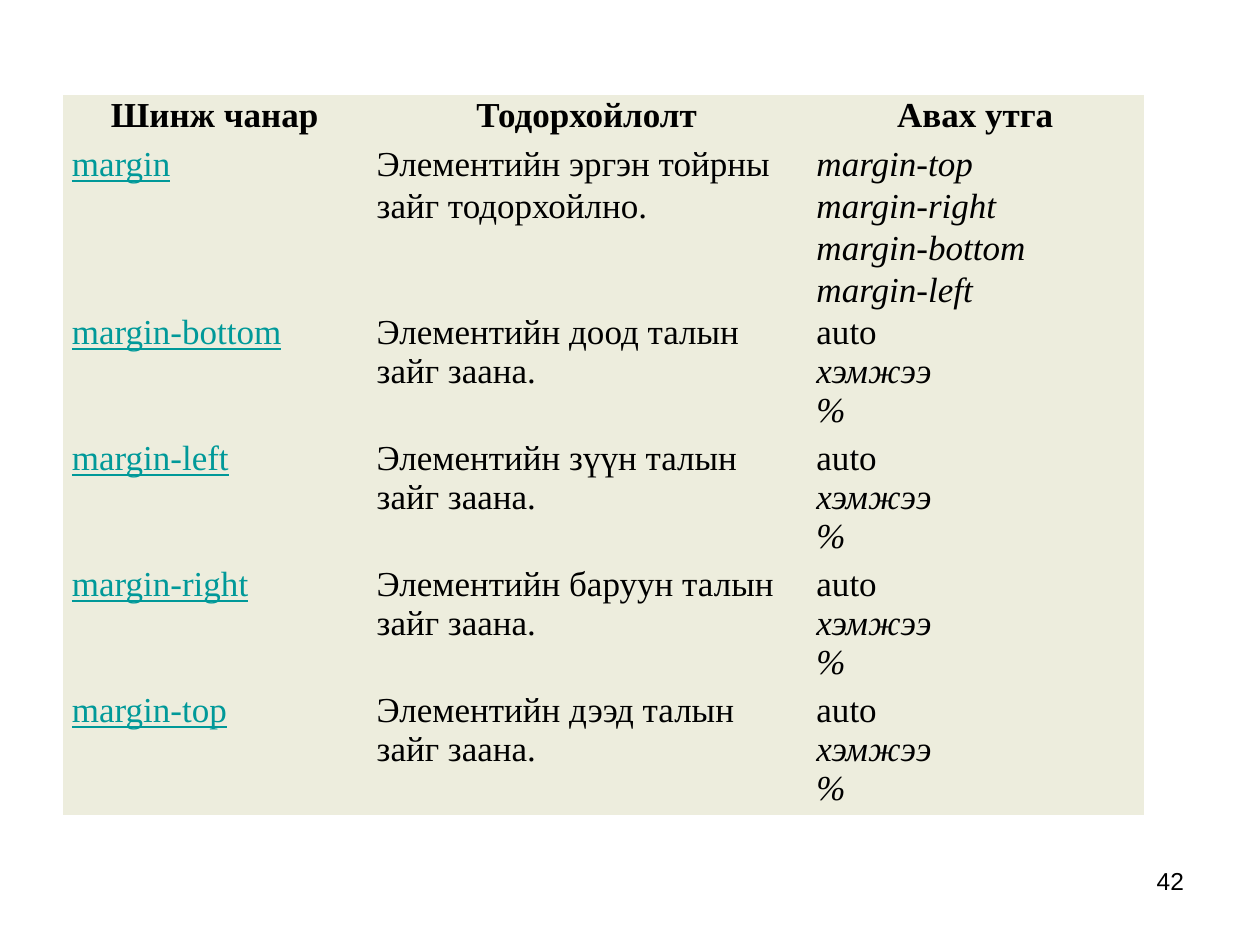
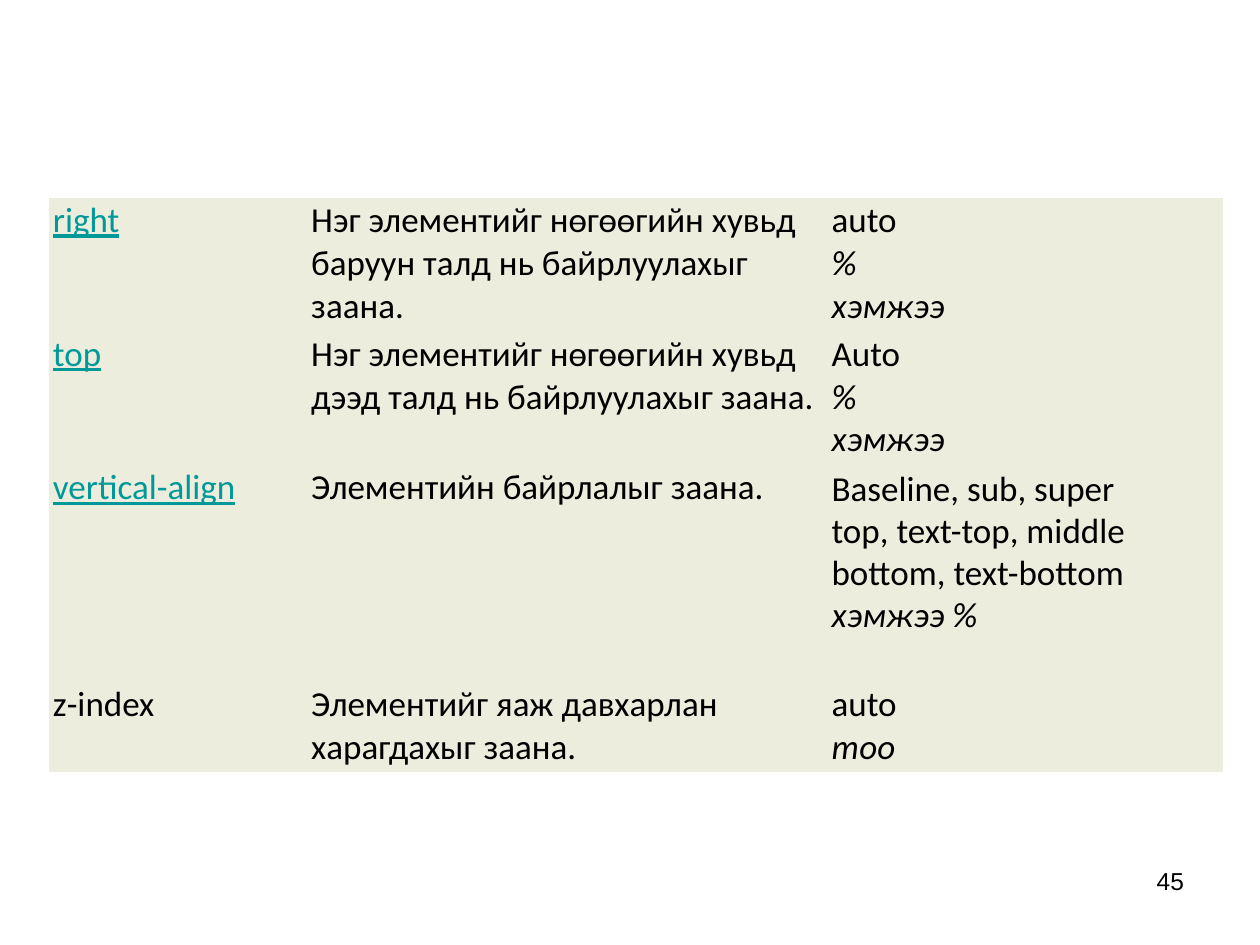
from pptx import Presentation
from pptx.dml.color import RGBColor
from pptx.oxml.ns import qn
from pptx.util import Inches, Pt

COLORS = {"text": "000000", "link": "009999", "cell": "EDEDDD"}
NO_STYLE = "{2D5ABB26-0587-4C30-8999-92F81FD0307C}"
LINK, ITALIC = "_", "*"

SIDES = [("bottom", "доод"), ("left", "зүүн"), ("right", "баруун"), ("top", "дээд")]
MARGIN_HEADS = ["Шинж чанар", "Тодорхойлолт", "Авах утга"]
MARGIN_ROWS = [
    ["_margin", "Элементийн эргэн тойрны зайг тодорхойлно.",
     "*margin-top\n*margin-right\n*margin-bottom\n*margin-left"],
] + [
    [f"_margin-{side}", f"Элементийн {word} талын\nзайг заана.", "auto\n*хэмжээ\n*%"]
    for side, word in SIDES
]
POSITION_ROWS = [
    ["_right", "Нэг элементийг нөгөөгийн хувьд\nбаруун талд нь байрлуулахыг\nзаана.",
     "auto\n*%\n*хэмжээ"],
    ["_top", "Нэг элементийг нөгөөгийн хувьд\nдээд талд нь байрлуулахыг заана.",
     "Auto\n*%\n*хэмжээ"],
    ["_vertical-align", "Элементийн байрлалыг заана.",
     "Baseline, sub, super\ntop, text-top, middle\nbottom, text-bottom\n*хэмжээ %"],
    ["z-index", "Элементийг яаж давхарлан\nхарагдахыг заана.", "auto\n*тоо"],
]


def style_run(r, font, size, color="text", bold=False, italic=False, underline=False):
    """Format one run of text."""
    r.font.name, r.font.size = font, Pt(size)
    r.font.bold, r.font.italic, r.font.underline = bold, italic, underline
    r.font.color.rgb = RGBColor.from_string(COLORS[color])


def set_indent(p, indent):
    """Indent a paragraph from the left by a number of inches."""
    p._p.get_or_add_pPr().set("marL", str(Inches(indent)))


def fill_cell(cell, text, font, indent, top=0, first=None, rest=None, bold=False):
    """Write marked lines into a cell, with point spacing for first and later lines."""
    cell.fill.solid()
    cell.fill.fore_color.rgb = RGBColor.from_string(COLORS["cell"])
    cell.margin_left = cell.margin_right = cell.margin_bottom = 0
    cell.margin_top = Inches(top)
    lines = text.split("\n")
    cell.text_frame.text = "\n".join(line.lstrip(LINK + ITALIC) for line in lines)
    for i, (line, p) in enumerate(zip(lines, cell.text_frame.paragraphs)):
        set_indent(p, indent)
        spacing = rest if i else first
        if spacing:
            p.line_spacing = Pt(spacing)
        link = line.startswith(LINK)
        style_run(p.runs[0], font, 20, "link" if link else "text", bold,
                  line.startswith(ITALIC), link)


def add_grid(s, left, top, widths, heights):
    """Add an unstyled table with the given columns and rows."""
    frame = s.shapes.add_table(len(heights), len(widths), Inches(left), Inches(top),
                               Inches(sum(widths)), Inches(sum(heights)))
    table = frame.table
    table.first_row = table.horz_banding = False
    table._tbl.tblPr.find(qn("a:tableStyleId")).text = NO_STYLE
    for column, width in zip(table.columns, widths):
        column.width = Inches(width)
    for row, height in zip(table.rows, heights):
        row.height = Inches(height)
    return table


def add_page_number(s, number):
    """Add the page number at the lower right."""
    tf = s.shapes.add_textbox(Inches(9.14), Inches(6.88), Inches(0.31), Inches(0.25)).text_frame
    tf.word_wrap = True
    tf.margin_left = tf.margin_top = tf.margin_right = tf.margin_bottom = 0
    tf.text = str(number)
    p = tf.paragraphs[0]
    p.line_spacing = Pt(16.5)
    set_indent(p, 0.04)
    style_run(p.runs[0], "Arial", 14)


def add_margin_table(s, left, top):
    """Add the table of margin properties with its heading row."""
    font = "Times New Roman"
    table = add_grid(s, left, top, [2.26, 3.55, 2.77], [0.38, 1.35, 1, 1, 1, 0.99])
    for col, (head, indent) in enumerate(zip(MARGIN_HEADS, [0.38, 1.02, 0.81])):
        fill_cell(table.cell(0, col), head, font, indent, 0.01, bold=True)
    for row, texts in enumerate(MARGIN_ROWS, 1):
        first, rest = (24, 24) if row == 1 else (22.8, None)
        for col, (text, indent) in enumerate(zip(texts, [0.07, 0.23, 0.17])):
            fill_cell(table.cell(row, col), text, font, indent, 0, first, rest)


def add_position_table(s, left, top):
    """Add the table of positioning properties."""
    table = add_grid(s, left, top, [1.78, 4.36, 3.18], [1.09, 1.06, 1.55, 0.86])
    insets = [0.01, 0, 0, 0.15]
    firsts = [None, 23.2, 23.2, None]
    for row, (texts, inset, first) in enumerate(zip(POSITION_ROWS, insets, firsts)):
        for col, (text, indent) in enumerate(zip(texts, [0.03, 0.3, 0.07])):
            dense = text.count("\n") == 3
            fill_cell(table.cell(row, col), text, "Calibri", indent, inset,
                      24 if dense else first, 24 if dense else None)


def main():
    """Build the two slides and save them."""
    prs = Presentation()
    prs.slide_width, prs.slide_height = Inches(10), Inches(7.5)
    pages = [(42, add_margin_table, 0.5, 0.75), (45, add_position_table, 0.39, 1.57)]
    for number, add_table, left, top in pages:
        s = prs.slides.add_slide(prs.slide_layouts[6])
        add_page_number(s, number)
        add_table(s, left, top)
    prs.save("out.pptx")


if __name__ == "__main__":
    main()
